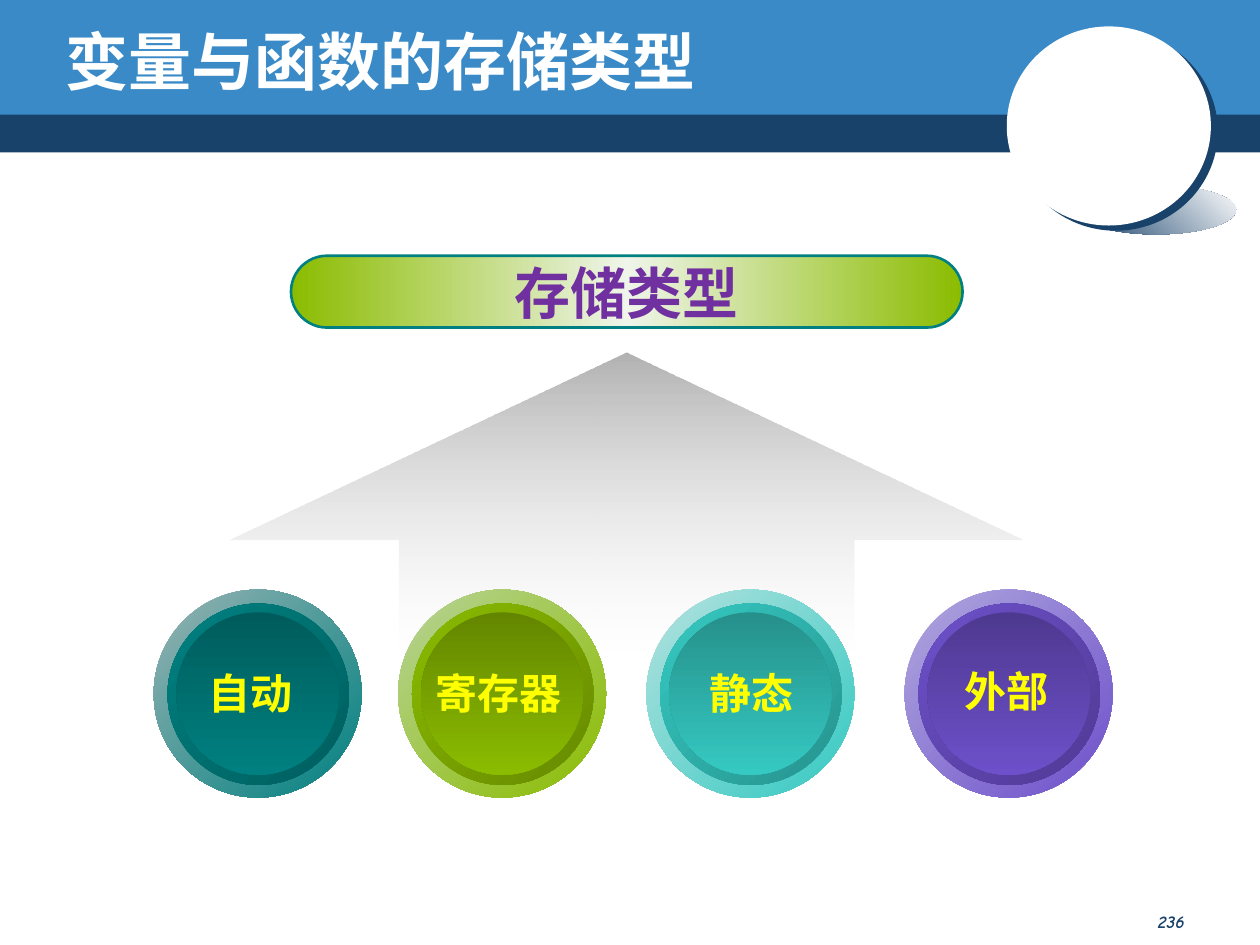
from lxml.etree import SubElement
from pptx import Presentation
from pptx.dml.color import RGBColor
from pptx.enum.shapes import MSO_SHAPE as SHAPE
from pptx.enum.text import MSO_ANCHOR as ANCHOR, MSO_AUTO_SIZE as AUTO, PP_ALIGN as ALIGN
from pptx.oxml.ns import qn
from pptx.util import Inches, Pt

CJK = "Noto Sans CJK SC"
C = {
    "navy": "19426B", "blue": "398AC7", "white": "FFFFFF", "gray": "B2B2B2",
    "mist": "E9E9E9", "teal": "008080", "lime": "8BBC00", "pale": "EFF5EA",
    "purple": "7030A0", "yellow": "FFFF00",
}
BUTTONS = [
    ("静态", 5.13, 5.53, 5.25, 0.88, ("35C9C2", "B3E2DF", "299A95", "27938E", "26908B")),
    ("外部", 7.18, 7.56, 5.23, 0.88, ("6D50CA", "B0A7DE", "533D9B", "503A94", "4E3990")),
    ("寄存器", 3.16, 3.36, 5.25, 1.21, ("8BBC00", "B8D398", "6A9000", "668900", "638600")),
    ("自动", 1.22, 1.56, 5.25, 0.88, ("008080", "98B3B3", "006262", "005E5E", "005C5C")),
]


def rgb(color):
    return RGBColor.from_string(color)


def set_gradient(sp, colors, angle, end_alpha=None):
    sp.fill.gradient()
    sp.fill.gradient_angle = -angle % 360
    stops = sp._element.spPr.find(qn("a:gradFill")).find(qn("a:gsLst"))
    for gs in list(stops):
        stops.remove(gs)
    for i, color in enumerate(colors):
        pos = 100000 * i // (len(colors) - 1)
        gs = SubElement(stops, qn("a:gs"), pos=str(pos))
        clr = SubElement(gs, qn("a:srgbClr"), val=color)
    if end_alpha is not None:
        SubElement(clr, qn("a:alpha"), val=str(end_alpha * 1000))


def add_shape(shapes, kind, x, y, w, h, fill, angle=0, end_alpha=None):
    sp = shapes.add_shape(kind, Inches(x), Inches(y), Inches(w), Inches(h))
    sp.shadow.inherit = False
    sp.line.fill.background()
    if isinstance(fill, str):
        sp.fill.solid()
        sp.fill.fore_color.rgb = rgb(fill)
    else:
        set_gradient(sp, fill, angle, end_alpha)
    return sp


def set_text(tf, text, size, color, font=CJK, italic=False, align=ALIGN.LEFT,
             anchor=ANCHOR.TOP, wrap=True):
    tf.word_wrap = wrap
    tf.vertical_anchor = anchor
    p = tf.paragraphs[0]
    p.alignment = align
    r = p.add_run()
    r.text = text
    r.font.size = Pt(size)
    r.font.bold = True
    r.font.italic = italic
    r.font.name = font
    r.font.color.rgb = rgb(color)
    SubElement(r._r.get_or_add_rPr(), qn("a:ea"), typeface=font)


def add_text(s, text, x, y, w, h, **fmt):
    tb = s.shapes.add_textbox(Inches(x), Inches(y), Inches(w), Inches(h))
    set_text(tb.text_frame, text, **fmt)
    return tb


def add_shadow(sp, color, distance, angle):
    effects = sp._element.spPr.find(qn("a:effectLst"))
    shadow = SubElement(effects, qn("a:outerShdw"), blurRad="0", dist=str(Pt(distance)),
                        dir=str(angle * 60000), algn="ctr", rotWithShape="0")
    SubElement(shadow, qn("a:srgbClr"), val=color)


def add_header(s):
    add_shape(s.shapes, SHAPE.RECTANGLE, 0, 0.87, 10, 0.34, C["navy"])
    add_shape(s.shapes, SHAPE.RECTANGLE, 0, 0, 10, 0.91, C["blue"])
    disc = s.shapes.add_group_shape().shapes
    add_shape(disc, SHAPE.OVAL, 8.54, 1.47, 1.27, 0.39, (C["navy"], C["white"]), 315)
    sp = add_shape(disc, SHAPE.OVAL, 7.99, 0.21, 1.62, 1.58, C["white"])
    add_shadow(sp, C["navy"], 5, 37)
    add_shape(disc, SHAPE.OVAL, 8.54, 0.68, 0.57, 0.59, C["white"])


def add_title(s, text):
    title = s.shapes.title
    title.left, title.top, title.width, title.height = map(Inches, (0.42, 0.17, 8.08, 0.62))
    set_text(title.text_frame, text, size=36, color=C["white"], anchor=ANCHOR.MIDDLE)
    title.text_frame.auto_size = AUTO.NONE
    s.shapes._spTree.append(title._element)


def add_arrow(s):
    sp = add_shape(s.shapes, SHAPE.UP_ARROW, 1.82, 2.8, 6.3, 2.36,
                   (C["gray"], C["mist"]), 90, end_alpha=0)
    sp.adjustments[0], sp.adjustments[1] = 0.573, 0.628


def add_banner(s, text):
    sp = add_shape(s.shapes, SHAPE.ROUNDED_RECTANGLE, 2.31, 2.03, 5.33, 0.57,
                   (C["lime"], C["pale"], C["lime"]))
    sp.adjustments[0] = 0.5
    sp.line.color.rgb = rgb(C["teal"])
    sp.line.width = Pt(1.5)
    set_text(sp.text_frame, text, size=32, color=C["purple"], align=ALIGN.CENTER,
             anchor=ANCHOR.MIDDLE, wrap=False)


def add_button(s, x, shades):
    base, rim, edge, groove, core = shades
    rings = [
        (0, 1.65, (C["white"], base, C["white"]), 45),
        (0, 1.65, (rim, base), 45),
        (0.11, 1.44, (edge, base, edge), 315),
        (0.11, 1.44, (base, groove), 45),
        (0.18, 1.29, (core, base), 90),
    ]
    group = s.shapes.add_group_shape().shapes
    for inset, size, colors, angle in rings:
        add_shape(group, SHAPE.OVAL, x + inset, 4.68 + inset, size, size, colors, angle)


def main():
    prs = Presentation()
    prs.slide_width, prs.slide_height = Inches(10), Inches(7.5)
    s = prs.slides.add_slide(prs.slide_layouts[5])
    add_header(s)
    add_arrow(s)
    add_banner(s, "存储类型")
    for text, x, text_x, text_y, width, shades in BUTTONS:
        add_button(s, x, shades)
        tb = add_text(s, text, text_x, text_y, width, 0.5, size=24, color=C["yellow"], wrap=False)
        tb.text_frame.auto_size = AUTO.SHAPE_TO_FIT_TEXT
    add_text(s, "236", 6.92, 7.18, 2.58, 0.27, size=10, color=C["navy"],
             font="Comic Neue", italic=True, align=ALIGN.RIGHT)
    add_title(s, "变量与函数的存储类型")
    prs.save("out.pptx")


if __name__ == "__main__":
    main()
